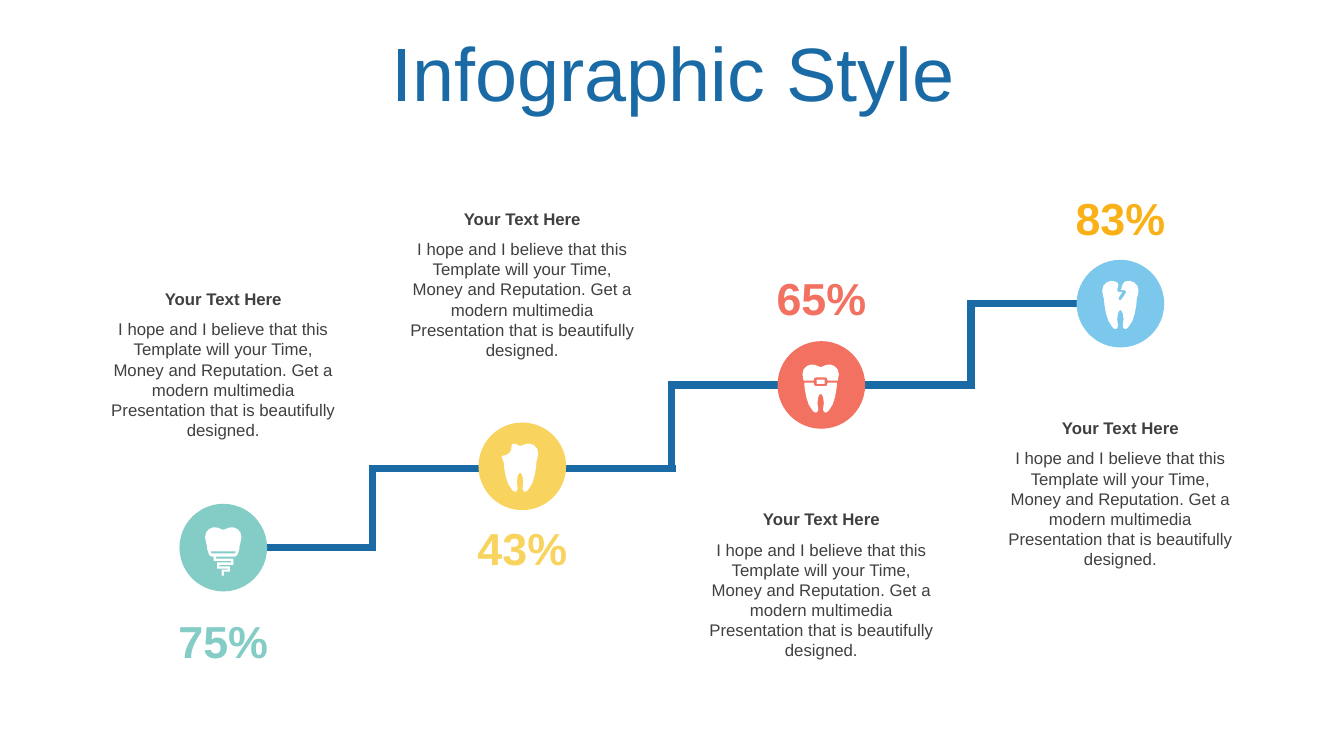
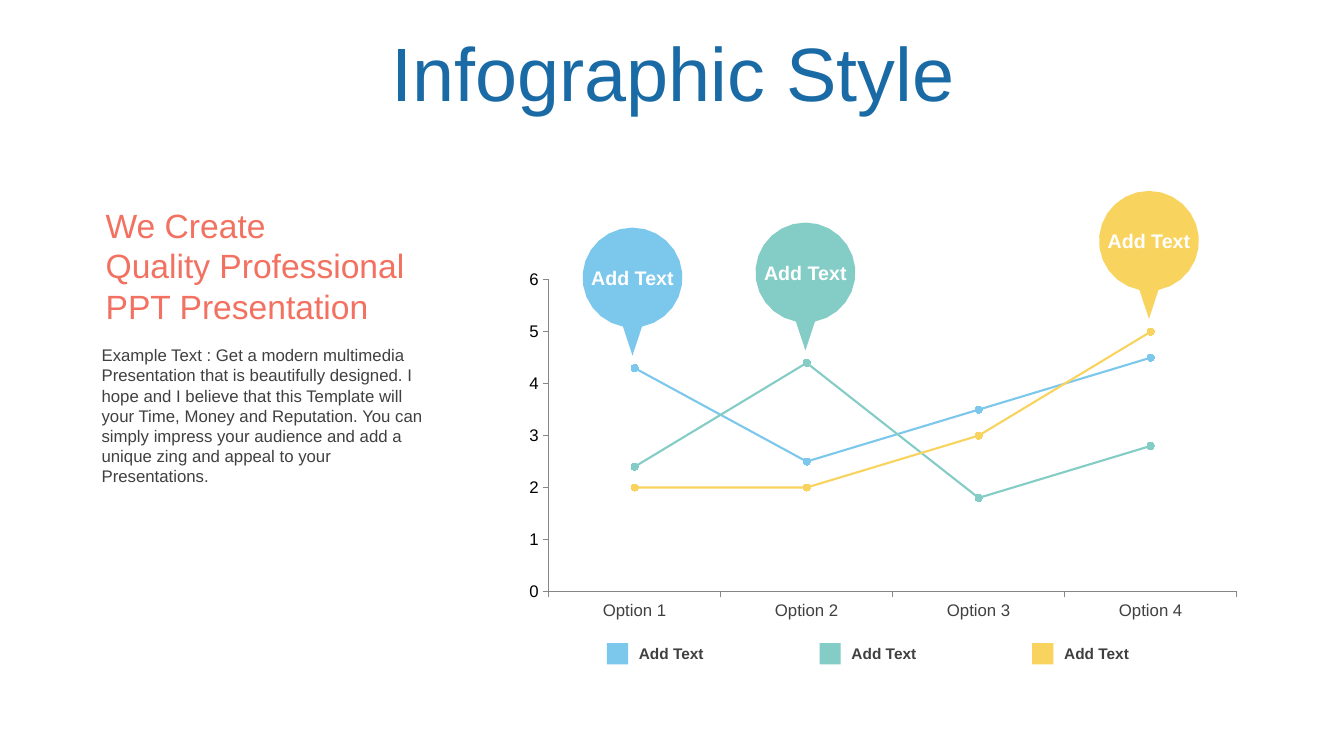
import math

from pptx import Presentation
from pptx import util as u
from pptx.chart import data
from pptx.dml import color as dml
from pptx.enum import chart as charts, shapes, text
from pptx.oxml import ns
from lxml import etree

BLUE, INK, WHITE, GRAY = "1A6BA5", "404040", "FFFFFF", "868686"
SKY, MINT, SUN, CORAL, AMBER = "7CC8EC", "84CCC6", "F8D45E", "F27161", "FAB117"
LEFT, CENTER = text.PP_ALIGN.LEFT, text.PP_ALIGN.CENTER
TOP, MIDDLE = text.MSO_ANCHOR.TOP, text.MSO_ANCHOR.MIDDLE

BODY = ("I hope and I believe that this Template will your Time, Money and Reputation. "
        "Get a modern multimedia Presentation that is beautifully designed.")
EXAMPLE = ("Example Text : Get a modern multimedia Presentation that is beautifully designed. "
           "I hope and I believe that this Template will your Time, Money and Reputation. "
           "You can simply impress your audience and add a unique zing and appeal to your "
           "Presentations.")

NOTCH = [(0, 1.8)]
CROWN = [(1.4, 1.4), (4, 0.3), (7, 0), (10, 1.2), (12.2, 3.6), (13, 7), (12.4, 10.5)]
FLANK = [(11.7, 13)]
ROOT = [(11.4, 17), (10.2, 23.5), (8.6, 28.5), (6.2, 32.3), (4.6, 34.1), (3.2, 34.3),
        (2.2, 33.6), (1.7, 32), (2.3, 27.5), (1.8, 23.5), (0.9, 21.4)]
CLEFT = [(0, 20.8)]
CAP = [(11.4, 16), (10.2, 19.5), (9, 20.8), (7.5, 21)]
GAP = [(-9.2, 17.3), (9.2, 17.3), (8.2, 18.7), (-8.2, 18.7)]
SCREW = [(-6, 21), (-6, 23.2), (6.5, 23.2), (6.5, 26), (-3.6, 26), (-3.6, 28.8),
         (4, 28.8), (4, 31), (-0.4, 31), (-0.4, 34.5)]
BITE = [(-12.3, 12), (-13, 9.4), (-12.9, 8.6), (-11.5, 8.6), (-9.4, 7.9), (-7.4, 6.4),
        (-6.4, 4.5), (-6, 1.4), (-5.4, 0.2), (-3.6, 0), (-0.8, 1.4)]
CRACK = [(-1.8, 1.5), (-1.4, 3.6), (-2.4, 6.4), (-1.5, 7.9), (1.4, 7.9), (-1.4, 12.3),
         (-0.8, 13.7), (0.5, 13.6), (4.3, 8), (3, 6.5), (0.4, 6.5), (1.4, 2.9), (3, 0.6)]
BRACKET = [(-2.9, 10.9), (2.9, 10.9), (2.9, 13.8), (-2.9, 13.8)]
CAP_EDGE = [(12.2, 11.5), (5, 11.5), (4.5, 9.6), (3, 9.2)]
ROOT_EDGE = [(3, 15.5), (4.5, 15), (5, 13), (11.7, 13)]


def rgb(value):
    return dml.RGBColor.from_string(value)


def write(frame, content, size=12, color=INK, bold=False, align=LEFT, anchor=TOP,
          insets=(7.2, 3.6, 7.2, 3.6), spacing=None):
    frame.word_wrap = True
    frame.vertical_anchor = anchor
    (frame.margin_left, frame.margin_top,
     frame.margin_right, frame.margin_bottom) = map(u.Pt, insets)
    for index, line in enumerate(content.split("\n")):
        paragraph = frame.add_paragraph() if index else frame.paragraphs[0]
        paragraph.text = line
        paragraph.alignment = align
        if spacing:
            paragraph.line_spacing = spacing
        font = paragraph.font
        font.name, font.size, font.bold = "Arial", u.Pt(size), bold
        font.color.rgb = rgb(color)


def flip(points):
    return [(-x, y) for x, y in reversed(points)]


def mirror(half):
    return half + flip(half)


def ribbon(points, half=0.8):
    normals = [(-math.copysign(1, y2 - y1) if y1 != y2 else 0,
                math.copysign(1, x2 - x1) if x1 != x2 else 0)
               for (x1, y1), (x2, y2) in zip(points, points[1:])]
    offsets = ([normals[0]]
               + [(a + c, b + d) for (a, b), (c, d) in zip(normals, normals[1:])]
               + [normals[-1]])
    sides = [[(x + side * dx, y + side * dy) for (x, y), (dx, dy) in zip(points, offsets)]
             for side in (half, -half)]
    return sides[0] + sides[1][::-1]


TEETH = {
    "implant": [NOTCH + mirror(CROWN + FLANK + CAP), GAP, ribbon(SCREW)],
    "chipped": [CROWN + FLANK + ROOT + CLEFT + flip(FLANK + ROOT) + BITE],
    "braces": [NOTCH + mirror(CROWN + CAP_EDGE), BRACKET,
               mirror(ROOT_EDGE + ROOT)],
    "cracked": [CROWN[1:] + FLANK + ROOT + CLEFT + flip(CROWN[1:] + FLANK + ROOT) + CRACK],
}


class Deck:
    def __init__(self):
        self.presentation = Presentation()
        self.presentation.slide_width = u.Pt(960)
        self.presentation.slide_height = u.Pt(540)
        self.slide = None

    def new_slide(self, title):
        self.slide = self.presentation.slides.add_slide(self.presentation.slide_layouts[6])
        self.text(25.2, 26.6, 911.5, 56.9, title, size=54, color=BLUE,
                  align=CENTER, anchor=MIDDLE, spacing=0.9)

    def text(self, x, y, width, height, content, **style):
        box = self.slide.shapes.add_textbox(*map(u.Pt, (x, y, width, height)))
        write(box.text_frame, content, **style)

    def paint(self, shape, fill):
        shape.shadow.inherit = False
        shape.fill.solid()
        shape.fill.fore_color.rgb = rgb(fill)
        shape.line.fill.background()
        return shape

    def shape(self, kind, x, y, width, height, fill):
        shape = self.slide.shapes.add_shape(kind, *map(u.Pt, (x, y, width, height)))
        return self.paint(shape, fill)

    def outline(self, contours, x, y, fill):
        builder = None
        for contour in contours:
            start, *rest = [(u.Pt(x + dx), u.Pt(y + dy)) for dx, dy in contour]
            if builder:
                builder.move_to(*start)
            else:
                builder = self.slide.shapes.build_freeform(*start)
            builder.add_line_segments(rest, close=True)
        self.paint(builder.convert_to_shape(), fill)

    def line(self, x1, y1, x2, y2, color, width):
        connector = self.slide.shapes.add_connector(
            shapes.MSO_CONNECTOR.STRAIGHT, *map(u.Pt, (x1, y1, x2, y2)))
        connector.line.color.rgb = rgb(color)
        connector.line.width = u.Pt(width)
        etree.SubElement(connector._element.spPr, ns.qn("a:effectLst"))

    def staircase(self, start, end, risers, levels, width=5.25):
        half = width / 2
        lefts = [start] + [riser - half for riser in risers]
        rights = [riser + half for riser in risers] + [end]
        for left, right, level in zip(lefts, rights, levels):
            self.line(left, level, right, level, BLUE, width)
        for riser, low, high in zip(risers, levels, levels[1:]):
            self.line(riser, high - half, riser, low + half, BLUE, width)

    def balloon(self, x, tip, label, fill, radius=35.7, height=91.4):
        center = tip - height + radius
        angles = [math.radians(101 + 338 * step / 24) for step in range(25)]
        arc = [(radius * math.cos(a), radius * math.sin(a)) for a in angles]
        self.outline([[(0, tip - center)] + arc], x, center, fill)
        band = self.shape(shapes.MSO_SHAPE.RECTANGLE, x - 33.5, center - 8.5, 67, 17, fill)
        write(band.text_frame, label, size=14, color=WHITE, bold=True, align=CENTER,
              insets=(0, 0, 0, 0))

    def legend(self, x, y, label, fill):
        self.shape(shapes.MSO_SHAPE.RECTANGLE, x, y, 15.1, 15.1, fill)
        self.text(x + 22.8, y + 0.7, 79, 13.7, label, size=11, bold=True,
                  insets=(0, 0, 0, 0))

    def line_chart(self, x, y, width, height, categories, series):
        chart_data = data.CategoryChartData()
        chart_data.categories = categories
        for name, values, _ in series:
            chart_data.add_series(name, values)
        chart = self.slide.shapes.add_chart(
            charts.XL_CHART_TYPE.LINE_MARKERS, *map(u.Pt, (x, y, width, height)),
            chart_data).chart
        chart.has_legend = chart.has_title = False
        chart.font.name, chart.font.size = "Arial", u.Pt(18)
        for axis, color in ((chart.category_axis, INK), (chart.value_axis, "000000")):
            axis.has_major_gridlines = False
            axis.major_tick_mark = charts.XL_TICK_MARK.OUTSIDE
            axis.tick_labels.font.size = u.Pt(12)
            axis.tick_labels.font.color.rgb = rgb(color)
            axis.format.line.color.rgb = rgb(GRAY)
            axis.format.line.width = u.Pt(0.75)
        chart.value_axis.minimum_scale, chart.value_axis.maximum_scale = 0, 6
        chart.value_axis.major_unit = 1
        chart.plots[0].vary_by_categories = False
        for plotted, (_, _, color) in zip(chart.plots[0].series, series):
            plotted.smooth = False
            plotted.format.line.color.rgb = rgb(color)
            plotted.format.line.width = u.Pt(1.5)
            marker = plotted.marker
            marker.style, marker.size = charts.XL_MARKER_STYLE.CIRCLE, 5
            marker.format.fill.solid()
            marker.format.fill.fore_color.rgb = rgb(color)
            marker.format.line.color.rgb = rgb(color)


def staircase_slide(deck):
    deck.new_slide("Infographic Style")
    pitch, first, diameter = 213.6, 159.5, 62.6
    radius = diameter / 2
    steps = [
        ("75%", 434.9, 202.6, MINT, MINT, "implant", 0, -14.6),
        ("43%", 368.7, 145.4, SUN, SUN, "chipped", -1.6, -16.2),
        ("65%", 190, 360, CORAL, CORAL, "braces", -0.5, -14.6),
        ("83%", 132.5, 294.9, SKY, AMBER, "cracked", 0, -16.2),
    ]
    last = first + pitch * (len(steps) - 1)
    risers = [first + pitch * (i + 0.5) for i in range(len(steps) - 1)]
    deck.staircase(first + radius, last - radius, risers, [391, 334.6, 275, 216.7])
    for i, (percent, percent_top, text_top, fill, color, tooth, dx, dy) in enumerate(steps):
        x, y = first + pitch * i, 391.2 - 58.1 * i
        deck.shape(shapes.MSO_SHAPE.OVAL, x - radius, y - radius, diameter, diameter, fill)
        deck.outline(TEETH[tooth], x + dx, y + dy, WHITE)
        deck.text(x - 44.6, percent_top, 89.2, 46, percent, size=32, color=color,
                  bold=True, align=CENTER)
        deck.text(x - 89.6, text_top, 179.2, 21.8, "Your Text Here", bold=True, align=CENTER)
        deck.text(x - 89.6, text_top + 21.7, 179.2, 94.5, BODY, align=CENTER)


def chart_slide(deck):
    deck.new_slide("Infographic Style")
    deck.text(72.6, 146.5, 239.8, 87.2,
              "We Create\nQuality Professional\nPPT Presentation",
              size=24, color=CORAL, insets=(2.9, 0, 2.9, 0))
    deck.text(72.6, 246.4, 239.8, 101.8, EXAMPLE, insets=(0, 0, 0, 0))
    series = [
        ("Series 1", (4.3, 2.5, 3.5, 4.5), SKY),
        ("Series 2", (2.4, 4.4, 1.8, 2.8), MINT),
        ("Series 3", (2, 2, 3, 5), SUN),
    ]
    deck.line_chart(367.6, 188.3, 526.3, 259.2,
                    [f"Option {number}" for number in range(1, 5)], series)
    tips = [(451.8, 254), (575.3, 250.4), (820.7, 227.8)]
    for index, (tip, (_, _, color)) in enumerate(zip(tips, series)):
        deck.balloon(*tip, "Add Text", color)
        deck.legend(433.5 + 151.9 * index, 459.4, "Add Text", color)


def main():
    deck = Deck()
    staircase_slide(deck)
    chart_slide(deck)
    deck.presentation.save("out.pptx")


if __name__ == "__main__":
    main()
